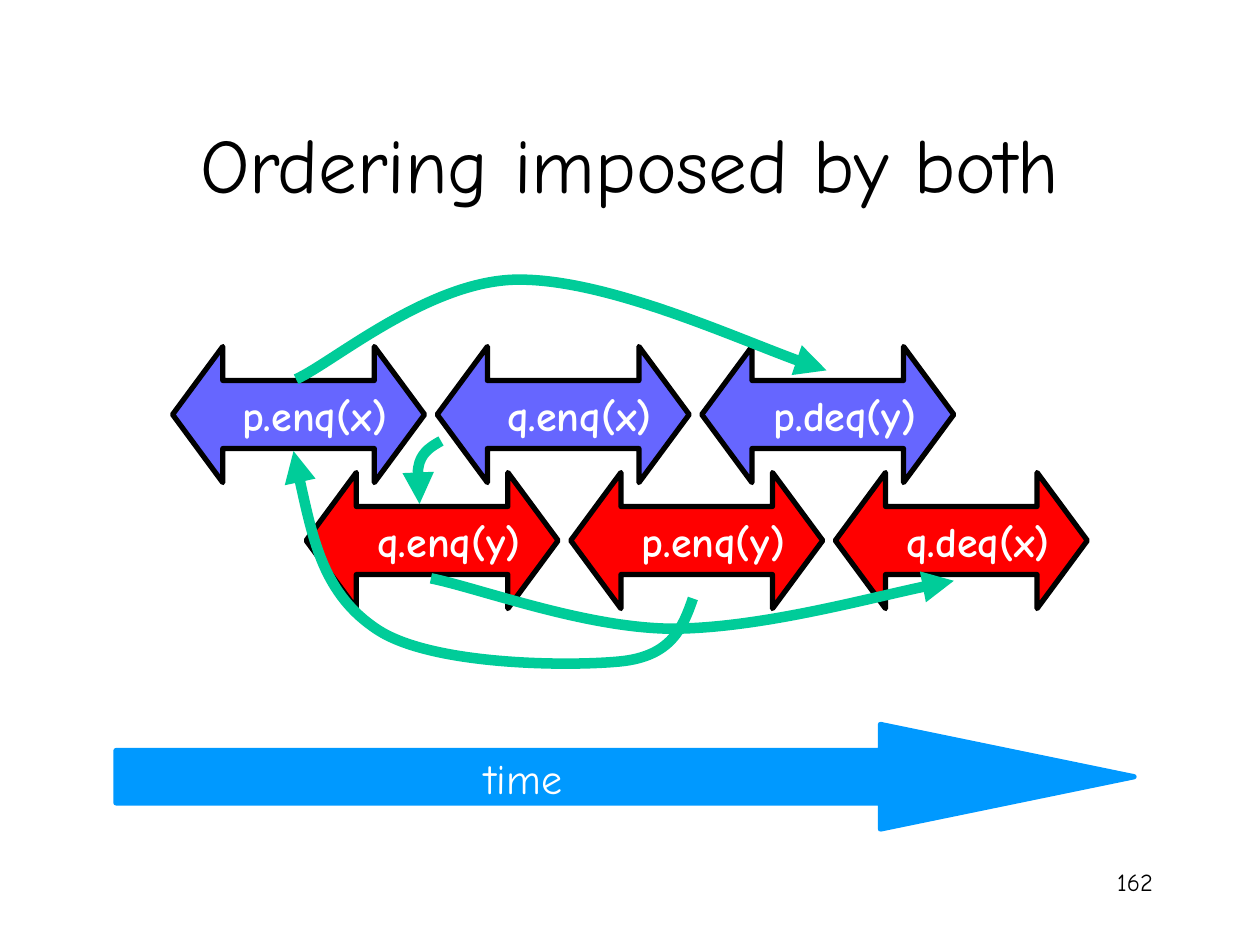
from lxml import etree
from pptx import Presentation
from pptx.dml.color import RGBColor
from pptx.enum.shapes import MSO_SHAPE
from pptx.enum.text import MSO_ANCHOR, MSO_AUTO_SIZE, PP_ALIGN
from pptx.oxml.ns import qn
from pptx.util import Inches, Pt

DOUBLE_ARROW = MSO_SHAPE.LEFT_RIGHT_ARROW
RIGHT_ARROW = MSO_SHAPE.RIGHT_ARROW
MIDDLE = MSO_ANCHOR.MIDDLE
CENTER, RIGHT = PP_ALIGN.CENTER, PP_ALIGN.RIGHT
FIT_SHAPE, NO_FIT = MSO_AUTO_SIZE.SHAPE_TO_FIT_TEXT, MSO_AUTO_SIZE.NONE

FONT = "Comic Neue"
BLACK, WHITE = "000000", "FFFFFF"
BLUE, RED, GREEN, SKY = "6666FF", "FF0000", "00CC99", "0099FF"

CALL_PITCH, CALL_W, CALL_H = 2.1, 2, 1.08
ROWS = [
    (1.37, 2.75, BLUE, ["p.enq(x)", "q.enq(x)", "p.deq(y)"]),
    (2.43, 3.75, RED, ["q.enq(y)", "p.enq(y)", "q.deq(x)"]),
]
ORDERINGS = [
    [(3.33, 4), (3.32, 3.88), (3.31, 3.75), (3.33, 3.67),
     (3.36, 3.58), (3.43, 3.54), (3.5, 3.5)],
    [(7.57, 4.61), (7.19, 4.67), (6.01, 4.99), (5.32, 4.99),
     (4.63, 4.98), (3.81, 4.67), (3.42, 4.59)],
    [(6.56, 2.94), (6.15, 2.82), (4.8, 2.21), (4.1, 2.22),
     (3.4, 2.23), (2.64, 2.88), (2.35, 3.01)],
    [(2.33, 3.58), (2.45, 4.15), (2.57, 4.72), (3, 5),
     (3.43, 5.28), (4.5, 5.29), (4.92, 5.25),
     (5.33, 5.21), (5.42, 4.98), (5.5, 4.75)],
]


def color(value):
    return RGBColor.from_string(value)


def box(x, y, w, h):
    return Inches(x), Inches(y), Inches(w), Inches(h)


def write(sp, text, size, value, align, bold=False):
    p = sp.text_frame.paragraphs[0]
    p.text = text
    p.alignment = align
    font = p.runs[0].font
    font.name, font.size, font.bold = FONT, Pt(size), bold
    font.color.rgb = color(value)


def outline(sp, value, width):
    sp.shadow.inherit = False
    sp.line.color.rgb = color(value)
    sp.line.width = Pt(width)


def add_arrow(shapes, kind, bounds, adjustments, fill, line):
    sp = shapes.add_shape(kind, *box(*bounds))
    for i, value in enumerate(adjustments):
        sp.adjustments[i] = value
    sp.fill.solid()
    sp.fill.fore_color.rgb = color(fill)
    outline(sp, line, 3)
    return sp


def add_title(s, x, y, w, h):
    sp = s.shapes.title
    sp.left, sp.top, sp.width, sp.height = box(x, y, w, h)
    write(sp, "Ordering imposed by both", 44, BLACK, CENTER)
    sp.text_frame.vertical_anchor = MIDDLE
    sp.text_frame.auto_size = NO_FIT


def add_call_row(s, x, y, fill, calls):
    for i, call in enumerate(calls):
        bounds = (x + i * CALL_PITCH, y, CALL_W, CALL_H)
        sp = add_arrow(s.shapes, DOUBLE_ARROW, bounds, (0.5, 0.369), fill, BLACK)
        write(sp, call, 24, WHITE, RIGHT, bold=True)
        sp.text_frame.word_wrap = False
        sp.text_frame.vertical_anchor = MIDDLE


def add_ordering(s, points):
    start, *rest = [(Inches(x), Inches(y)) for x, y in points]
    builder = s.shapes.build_freeform(*start)
    builder.add_line_segments(rest, close=False)
    sp = builder.convert_to_shape()
    segments = list(sp.element.iter(qn("a:lnTo")))
    for i in range(0, len(segments), 3):
        curve = etree.Element(qn("a:cubicBezTo"))
        segments[i].addprevious(curve)
        for segment in segments[i:i + 3]:
            curve.append(segment[0])
            segment.getparent().remove(segment)
    sp.fill.background()
    outline(sp, GREEN, 6)
    etree.SubElement(sp.line._get_or_add_ln(), qn("a:headEnd"), type="triangle")


def add_time_axis(s, x, y, w, h):
    group = s.shapes.add_group_shape()
    add_arrow(group.shapes, RIGHT_ARROW, (x, y, w, h), (0.5, 2.425), SKY, SKY)
    sp = group.shapes.add_textbox(*box(x + 2.75, y + 0.17, 0.89, 0.5))
    write(sp, "time", 24, WHITE, RIGHT)
    sp.text_frame.word_wrap = False
    sp.text_frame.auto_size = FIT_SHAPE


def add_page_number(s, x, y, w, h):
    sp = s.shapes.add_textbox(*box(x, y, w, h))
    write(sp, "162", 14, BLACK, RIGHT)
    sp.text_frame.word_wrap = True


def main():
    prs = Presentation()
    prs.slide_width, prs.slide_height = Inches(10), Inches(7.5)
    s = prs.slides.add_slide(prs.slide_layouts[5])
    add_title(s, 0.75, 0.67, 8.5, 1.25)
    add_page_number(s, 7.17, 6.83, 2.08, 0.5)
    for row in ROWS:
        add_call_row(s, *row)
    add_time_axis(s, 0.92, 5.75, 8.08, 0.83)
    for points in ORDERINGS:
        add_ordering(s, points)
    prs.save("out.pptx")


if __name__ == "__main__":
    main()
